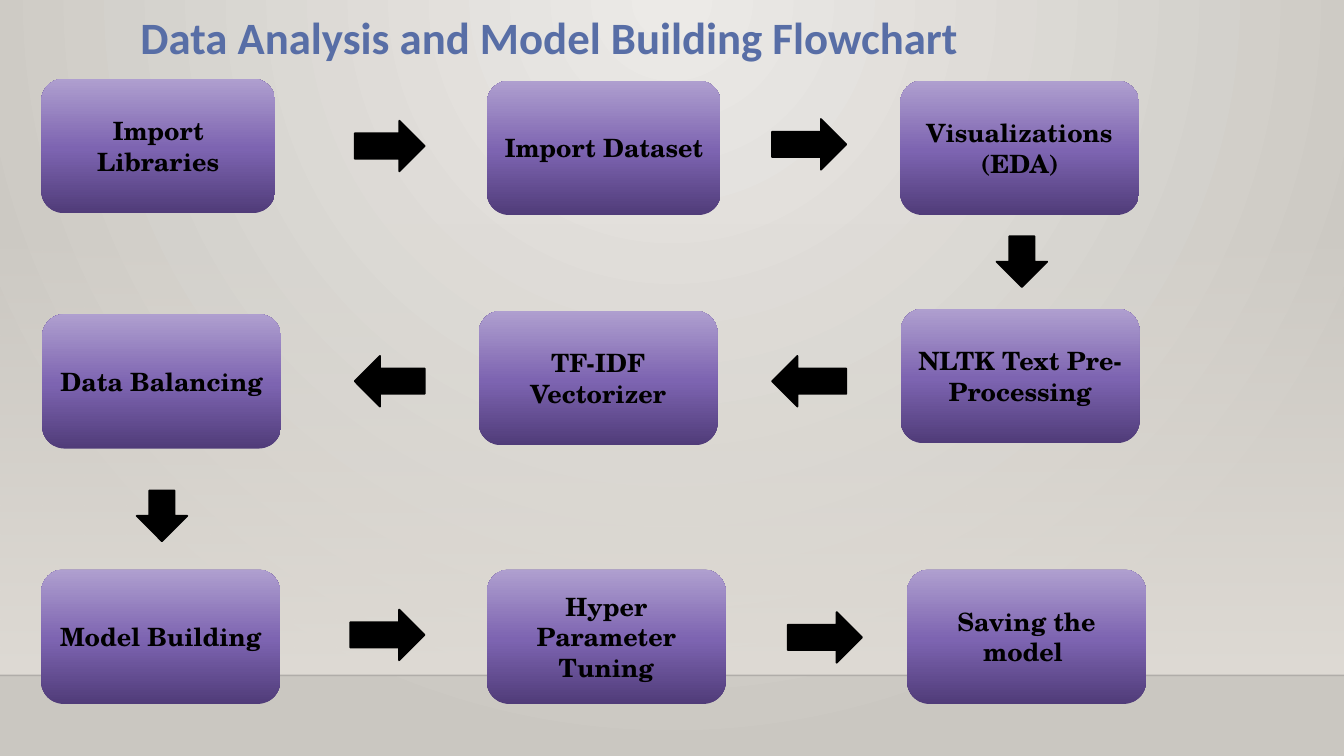
from lxml.etree import SubElement
from pptx import Presentation
from pptx.dml.color import RGBColor
from pptx.enum.shapes import MSO_CONNECTOR, MSO_SHAPE
from pptx.enum.text import MSO_ANCHOR, PP_ALIGN
from pptx.oxml.ns import qn
from pptx.util import Pt

COLORS = {
    "title": "586EA6", "ink": "000000", "horizon": "000001",
    "glow": "ECEAE7", "wall": "CAC7C1", "floor": "DFDBD5",
    "step_dark": "503C79", "step_mid": "7D64B1", "step_light": "AF9FCF",
}
SLIDE_WIDTH, SLIDE_HEIGHT = 960, 540
HORIZON_TOP = 482.4
STEP_HEIGHT = 96
ARROW_SPAN = 36.2
STEPS = [
    (29.5, 56.2, 167, ["Import Libraries"]),
    (347.8, 57.6, 167, ["Import Dataset"]),
    (643, 57.6, 170.6, ["Visualizations", "(EDA)"]),
    (643.4, 220.5, 170.6, ["NLTK Text Pre-Processing"]),
    (342, 222, 170.6, ["TF-IDF Vectorizer"]),
    (30.2, 224.4, 170.6, ["Data Balancing"]),
    (29.5, 406.8, 170.6, ["Model Building"]),
    (347.8, 406.8, 170.6, ["Hyper Parameter Tuning"]),
    (648, 406.8, 170.6, ["Saving the model "]),
]
RIGHT, LEFT, DOWN = MSO_SHAPE.RIGHT_ARROW, MSO_SHAPE.LEFT_ARROW, MSO_SHAPE.DOWN_ARROW
ARROWS = [
    (RIGHT, 253.4, 86.2, 50),
    (RIGHT, 551.5, 85, 53),
    (DOWN, 711.8, 168.8, ARROW_SPAN),
    (LEFT, 551.5, 254.2, 53),
    (LEFT, 253.4, 254.2, 50),
    (DOWN, 97.6, 350.4, ARROW_SPAN),
    (RIGHT, 250.2, 435.4, 53),
    (RIGHT, 562.7, 437.2, 53),
]


def rgb(name):
    """Return the named colour."""
    return RGBColor.from_string(COLORS[name])


def set_stops(gradient, stops):
    """Replace gradient stops with (percent, colour name, alpha percent) entries."""
    stop_list = gradient.find(qn("a:gsLst"))
    for old_stop in list(stop_list):
        stop_list.remove(old_stop)
    for percent, name, alpha in stops:
        stop = SubElement(stop_list, qn("a:gs"), pos=str(percent * 1000))
        color = SubElement(stop, qn("a:srgbClr"), val=COLORS[name])
        if alpha < 100:
            SubElement(color, qn("a:alpha"), val=str(alpha * 1000))


def fill_linear(shape, angle, stops):
    """Give a shape a linear gradient, with the angle clockwise from rightward."""
    shape.fill.gradient()
    gradient = shape.element.spPr.find(qn("a:gradFill"))
    set_stops(gradient, stops)
    gradient.find(qn("a:lin")).set("ang", str(angle * 60000))


def add_plain_shape(slide, preset, left, top, width, height):
    """Add a preset shape without shadow or outline."""
    shape = slide.shapes.add_shape(preset, Pt(left), Pt(top), Pt(width), Pt(height))
    shape.shadow.inherit = False
    shape.line.fill.background()
    return shape


def write_lines(frame, lines, font_name, size, color):
    """Write centred bold paragraphs."""
    frame.word_wrap = True
    for index, line in enumerate(lines):
        paragraph = frame.add_paragraph() if index else frame.paragraphs[0]
        paragraph.alignment = PP_ALIGN.CENTER
        run = paragraph.add_run()
        run.text = line
        run.font.name = font_name
        run.font.size = Pt(size)
        run.font.bold = True
        run.font.color.rgb = rgb(color)


def paint_backdrop(slide):
    """Paint the radial glow, the floor haze and the horizon."""
    slide.background.fill.gradient()
    glow = slide.element.find(".//" + qn("p:bgPr")).find(qn("a:gradFill"))
    set_stops(glow, [(0, "glow", 100), (100, "wall", 100)])
    glow.remove(glow.find(qn("a:lin")))
    circle = SubElement(glow, qn("a:path"), path="circle")
    SubElement(circle, qn("a:fillToRect"), l="43000", t="0", r="43000", b="100000")

    haze_top = 159
    haze = add_plain_shape(slide, MSO_SHAPE.RECTANGLE, 0, haze_top,
                           SLIDE_WIDTH, HORIZON_TOP - haze_top)
    fill_linear(haze, 90, [(0, "floor", 0), (100, "floor", 100)])

    horizon = slide.shapes.add_connector(
        MSO_CONNECTOR.STRAIGHT, 0, Pt(HORIZON_TOP), Pt(SLIDE_WIDTH), Pt(HORIZON_TOP))
    horizon.line.width = Pt(1)
    horizon.line.color.rgb = rgb("horizon")
    properties = horizon.element.spPr
    SubElement(properties.find(".//" + qn("a:srgbClr")), qn("a:alpha"), val="20000")
    SubElement(properties, qn("a:effectLst"))


def add_title(slide, title):
    """Add the flowchart title."""
    heading = slide.shapes.add_textbox(0, Pt(3.6), Pt(785), Pt(67.7))
    write_lines(heading.text_frame, [title], "Calibri", 32, "title")


def add_step(slide, left, top, width, lines):
    """Add one purple process step."""
    step = add_plain_shape(slide, MSO_SHAPE.FLOWCHART_ALTERNATE_PROCESS,
                           left, top, width, STEP_HEIGHT)
    fill_linear(step, 270, [(0, "step_dark", 100), (48, "step_mid", 100),
                            (100, "step_light", 100)])
    step.text_frame.vertical_anchor = MSO_ANCHOR.MIDDLE
    write_lines(step.text_frame, lines, "TeX Gyre Schola", 18, "ink")


def add_arrow(slide, direction, left, top, width):
    """Add one black block arrow."""
    arrow = add_plain_shape(slide, direction, left, top, width, ARROW_SPAN)
    arrow.fill.solid()
    arrow.fill.fore_color.rgb = rgb("ink")
    arrow.line.color.rgb = rgb("ink")
    arrow.line.width = Pt(1.25)


def main():
    """Build and save the flowchart slide."""
    presentation = Presentation()
    presentation.slide_width = Pt(SLIDE_WIDTH)
    presentation.slide_height = Pt(SLIDE_HEIGHT)
    slide = presentation.slides.add_slide(presentation.slide_layouts[6])
    paint_backdrop(slide)
    add_title(slide, "Data Analysis and Model Building Flowchart")
    for step in STEPS:
        add_step(slide, *step)
    for arrow in ARROWS:
        add_arrow(slide, *arrow)
    presentation.save("out.pptx")


main()
